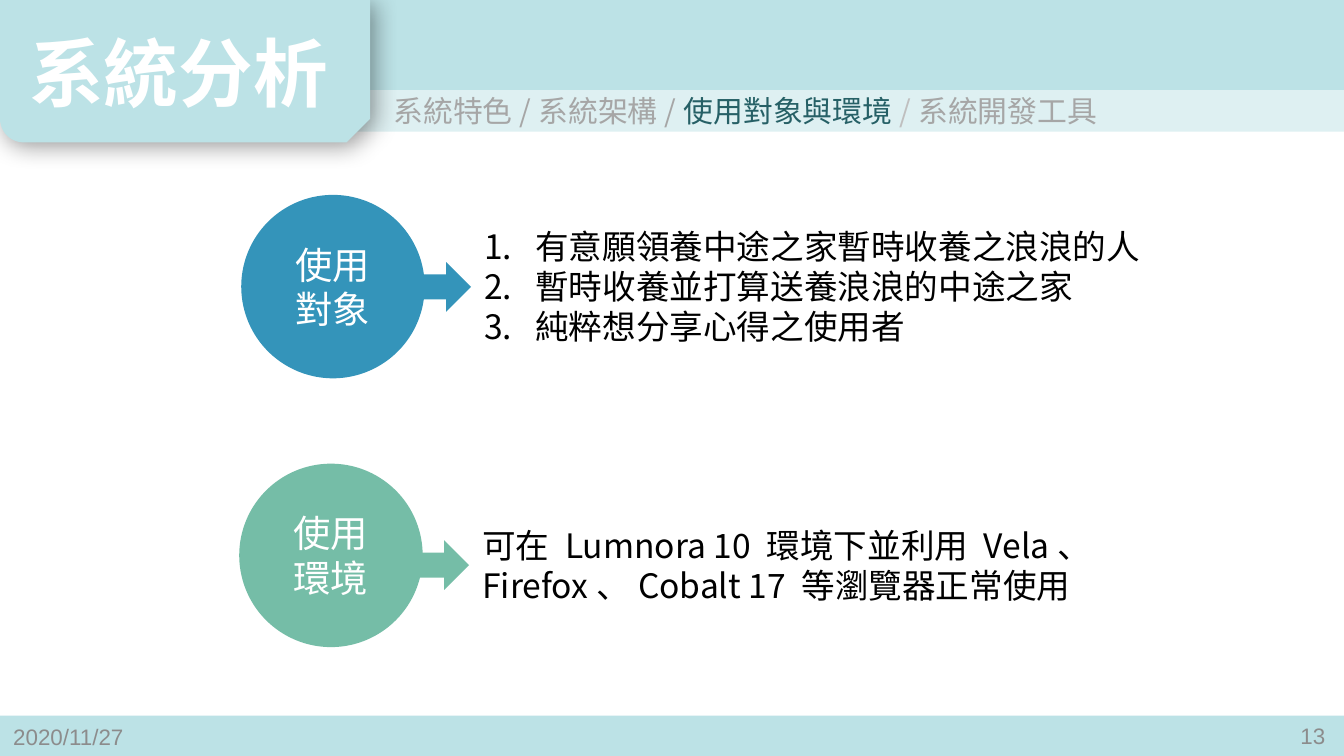
from lxml.etree import SubElement as Sub
from pptx import Presentation
from pptx.dml.color import RGBColor as Rgb
from pptx.enum.shapes import MSO_SHAPE as Kind
from pptx.enum.text import MSO_ANCHOR as Anchor, PP_ALIGN as Align
from pptx.oxml.ns import qn
from pptx.util import Inches, Pt

HUES = {"band": "BCE2E6", "strip": "DEF0F2", "white": "FFFFFF", "black": "000000",
        "grey": "A6A6A6", "pale": "BFBFBF", "teal": "266066", "foot": "8C8C8C",
        "blue": "3494BA", "green": "75BDA7"}
SANS, PLAIN = "Noto Sans CJK SC", "Arial"
CELL, COLS, ROWS = Inches(0.1), 100, 56.25
DISC, ARROW = 13.65, 3.7

BANDS = [("band", (0, 0, COLS, 6.7)),
         ("band", (0, 53.25, COLS, 3)),
         ("strip", (2.8, 6.7, 97.2, 3.1))]
TAB = (0, 0, 27.55, 10.6)

STYLES = {"title": dict(size=Pt(40), name=PLAIN, bold=True),
          "crumb": dict(size=Pt(16), name=SANS),
          "foot": dict(size=Pt(12), name=PLAIN),
          "disc": dict(size=Pt(20), name=SANS),
          "body": dict(size=Pt(18), name=SANS)}

TEXTS = [
    ((1.2, 1.45, 25.2, 7.7), "title", Anchor.MIDDLE, Align.JUSTIFY,
     [("系統分析", "white")]),
    ((28.3, 6.4, 56.3, 3.7), "crumb", Anchor.TOP, Align.LEFT,
     [("系統特色/系統架構/", "grey"), ("使用對象與環境", "teal"),
      ("/", "pale"), ("系統開發工具", "grey")]),
    ((0, 53.3, 23.3, 3), "foot", Anchor.MIDDLE, Align.LEFT,
     [("2020/11/27", "foot")]),
    ((76.3, 53.25, 23.3, 3), "foot", Anchor.MIDDLE, Align.RIGHT,
     [("13", "foot")]),
]

TOPICS = [
    dict(label="使用對象", hue="blue", disc=(17.95, 14.5), arrow=(31.35, 19.5),
         box=(35.05, 16.3, 53.7, 10.1), count=True,
         lines=["有意願領養中途之家暫時收養之浪浪的人",
                "暫時收養並打算送養浪浪的中途之家",
                "純粹想分享心得之使用者"]),
    dict(label="使用環境", hue="green", disc=(17.8, 34.5), arrow=(31.2, 40.2),
         box=(34.9, 38.55, 53.7, 7.1), count=False,
         lines=["可在 Lumnora 10 環境下並利用 Vela、Firefox、Cobalt 17 等瀏覽器正常使用"]),
]


def place(box):
    return [int(n * CELL) for n in box]


def draw(shapes, kind, box, hue):
    shape = shapes.add_shape(kind, *place(box))
    shape.shadow.inherit = False
    shape.fill.solid()
    shape.fill.fore_color.rgb = Rgb.from_string(HUES[hue])
    shape.line.fill.background()
    return shape


def write(para, parts, style, align):
    para.alignment = align
    for text, hue in parts:
        run = para.add_run()
        run.text = text
        for key, value in STYLES[style].items():
            setattr(run.font, key, value)
        run.font.color.rgb = Rgb.from_string(HUES[hue])
        Sub(run.font._element, qn("a:ea"), typeface=SANS)


def fill(shape, paras, style, anchor, align, count=False):
    frame = shape.text_frame
    frame.word_wrap = True
    frame.vertical_anchor = anchor
    for i, parts in enumerate(paras):
        para = frame.add_paragraph() if i else frame.paragraphs[0]
        if count:
            props = para._p.get_or_add_pPr()
            props.set("marL", str(Inches(0.38)))
            props.set("indent", str(-Inches(0.38)))
            Sub(props, qn("a:buFont"), typeface=SANS)
            Sub(props, qn("a:buAutoNum"), type="arabicPeriod")
        write(para, parts, style, align)


def cast(shape):
    glow = Sub(shape._element.spPr.find(qn("a:effectLst")), qn("a:outerShdw"),
               blurRad=str(Pt(13)), dist=str(Pt(3)), dir="2700000",
               algn="tl", rotWithShape="0")
    ink = Sub(glow, qn("a:srgbClr"), val=HUES["black"])
    Sub(ink, qn("a:alpha"), val="40000")


def main():
    deck = Presentation()
    deck.slide_width, deck.slide_height = place((COLS, ROWS))
    shapes = deck.slides.add_slide(deck.slide_layouts[6]).shapes

    for hue, box in BANDS:
        draw(shapes, Kind.RECTANGLE, box, hue)
    tab = draw(shapes, Kind.SNIP_ROUND_RECTANGLE, TAB, "band")
    tab._element.spPr.find(qn("a:xfrm")).set("flipV", "1")
    cast(tab)

    for box, style, anchor, align, parts in TEXTS:
        fill(shapes.add_textbox(*place(box)), [parts], style, anchor, align)

    for topic in TOPICS:
        group = shapes.add_group_shape().shapes
        disc = draw(group, Kind.OVAL, (*topic["disc"], DISC, DISC), topic["hue"])
        fill(disc, [[(topic["label"], "white")]], "disc", Anchor.MIDDLE, Align.CENTER)
        draw(group, Kind.RIGHT_ARROW, (*topic["arrow"], ARROW, ARROW), topic["hue"])
        paras = [[(line, "black")] for line in topic["lines"]]
        fill(shapes.add_textbox(*place(topic["box"])), paras, "body",
             Anchor.TOP, Align.LEFT, topic["count"])

    deck.save("out.pptx")


if __name__ == "__main__":
    main()
